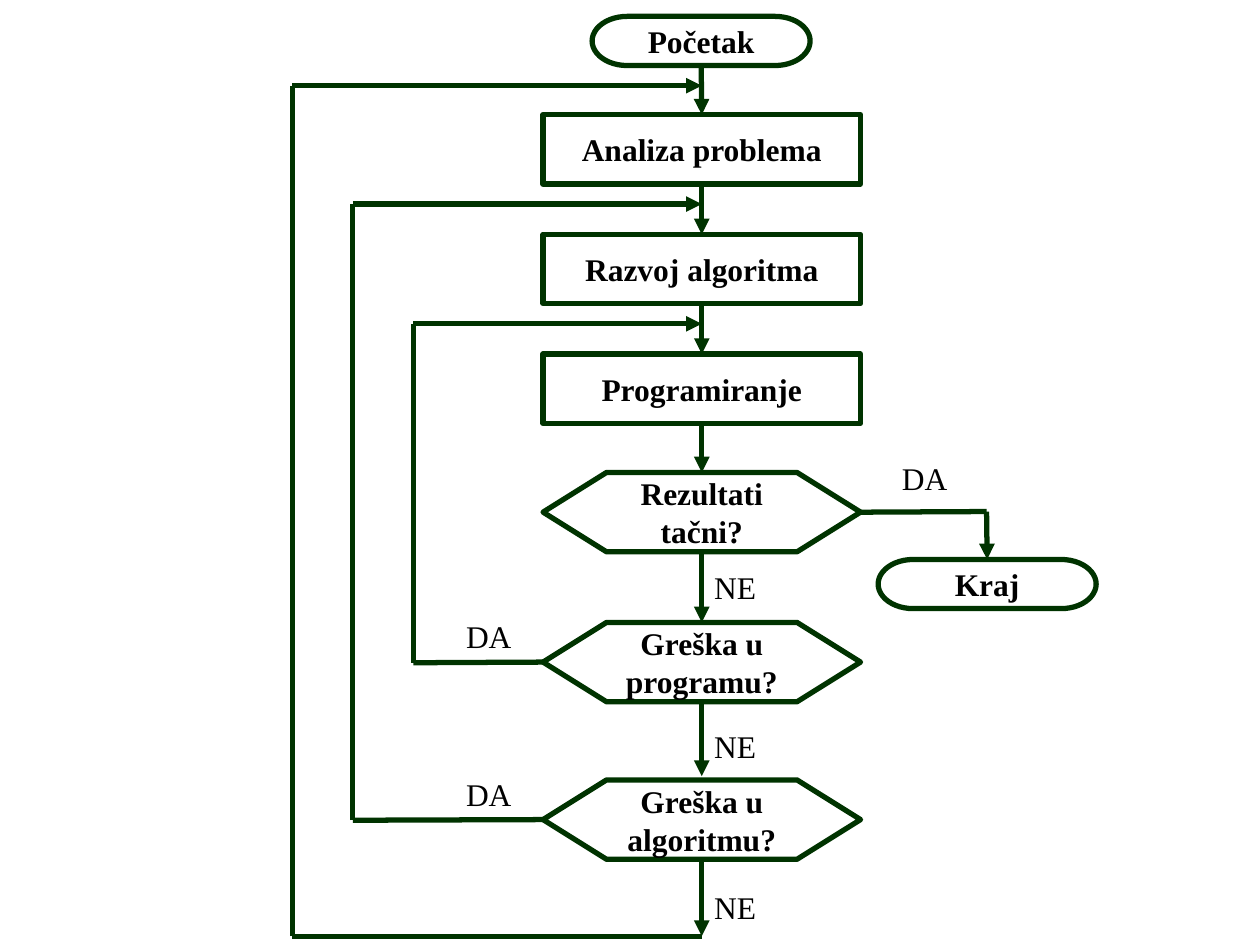
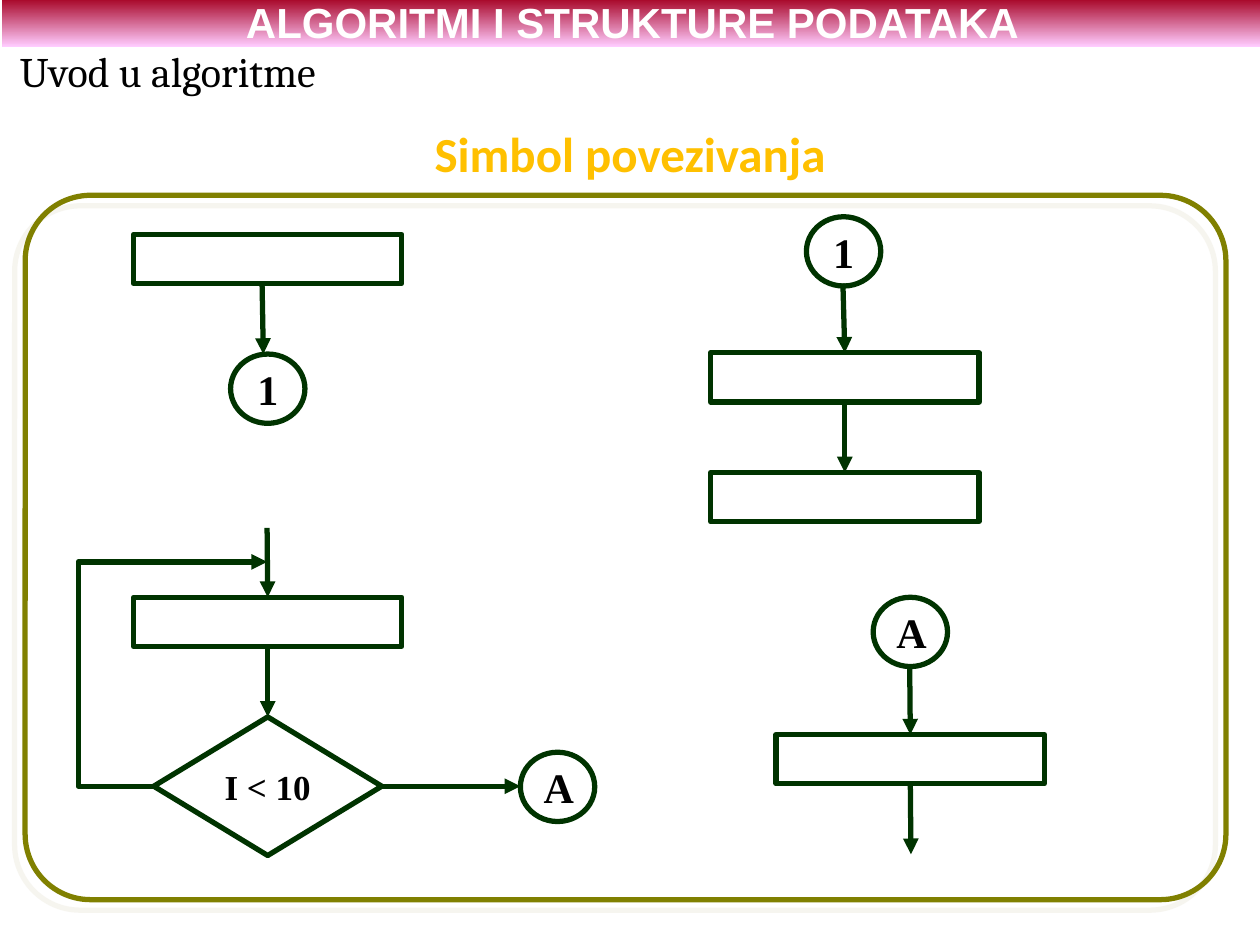
from dataclasses import dataclass

from lxml import etree
from pptx import Presentation
from pptx.dml.color import RGBColor
from pptx.enum.shapes import MSO_CONNECTOR, MSO_SHAPE
from pptx.enum.text import MSO_ANCHOR, PP_ALIGN
from pptx.oxml import parse_xml
from pptx.oxml.ns import nsdecls, qn
from pptx.util import Inches, Pt

RECT, OVAL = MSO_SHAPE.RECTANGLE, MSO_SHAPE.OVAL
TERMINATOR = MSO_SHAPE.FLOWCHART_TERMINATOR
HEXAGON = MSO_SHAPE.FLOWCHART_PREPARATION
DIAMOND = MSO_SHAPE.FLOWCHART_DECISION
ROUNDED = MSO_SHAPE.ROUNDED_RECTANGLE
STRAIGHT, ELBOW = MSO_CONNECTOR.STRAIGHT, MSO_CONNECTOR.ELBOW
LEFT, CENTER = PP_ALIGN.LEFT, PP_ALIGN.CENTER
TOP, MIDDLE = MSO_ANCHOR.TOP, MSO_ANCHOR.MIDDLE
SITE_TOP, SITE_LEFT, SITE_BOTTOM, SITE_RIGHT = range(4)


@dataclass(frozen=True)
class Theme:
    ink: str = "000000"
    flow: str = "003300"
    frame: str = "808000"
    shadow: str = "EEECE1"
    band_top: str = "A50021"
    band_bottom: str = "FFCCFF"
    band_text: str = "FFFFFF"
    title: str = "FFC000"
    body_font: str = "Times New Roman"
    band_font: str = "Arial"
    title_font: str = "Calibri"
    topic_font: str = "Cambria"
    step_size: int = 18
    condition_size: int = 20
    large_size: int = 24
    title_size: int = 28
    line: int = 3


T = Theme()


def box(s, text, at, kind=None, outline=T.flow, size=T.step_size, font=T.body_font,
        color=T.ink, bold=True, align=CENTER, anchor=MIDDLE, wrap=True):
    """Add a preset shape, or a text box when no kind is given."""
    at = [Inches(v) for v in at]
    if kind is None:
        sp = s.shapes.add_textbox(*at)
    else:
        sp = s.shapes.add_shape(kind, *at)
        sp.shadow.inherit = False
        sp.fill.background()
        if outline:
            sp.line.color.rgb = RGBColor.from_string(outline)
            sp.line.width = Pt(T.line)
        else:
            sp.line.fill.background()
    if text:
        tf = sp.text_frame
        tf.word_wrap = wrap
        tf.vertical_anchor = anchor
        p = tf.paragraphs[0]
        p.alignment = align
        r = p.add_run()
        r.text = text
        r.font.name, r.font.size, r.font.bold = font, Pt(size), bold
        r.font.color.rgb = RGBColor.from_string(color)
    return sp


def line(s, start, end, arrow=True, kind=STRAIGHT):
    """Connect two ends, each an (x, y) point or a (shape, site) pair."""
    c = s.shapes.add_connector(kind, 0, 0, 0, 0)
    if hasattr(start[0], "shape_id"):
        c.begin_connect(*start)
    else:
        c.begin_x, c.begin_y = Inches(start[0]), Inches(start[1])
    if hasattr(end[0], "shape_id"):
        c.end_connect(*end)
    else:
        c.end_x, c.end_y = Inches(end[0]), Inches(end[1])
    c.line.color.rgb = RGBColor.from_string(T.flow)
    c.line.width = Pt(T.line)
    spPr = c.line._get_or_add_ln().getparent()
    if arrow:
        etree.SubElement(spPr.find(qn("a:ln")), qn("a:tailEnd"), type="triangle")
    etree.SubElement(spPr, qn("a:effectLst"))
    return c


prs = Presentation()
prs.slide_width, prs.slide_height = Inches(10), Inches(7.5)
blank = prs.slide_layouts[6]

# Slide 1: program development flowchart
s = prs.slides.add_slide(blank)
axis = 5.57
start = box(s, "Početak", (4.7, 0.13, 1.73, 0.39), TERMINATOR)
finish = box(s, "Kraj", (6.97, 4.44, 1.73, 0.39), TERMINATOR)

# Steps, equally spaced, then the three questions
flow = [start]
for i, text in enumerate(["Analiza problema", "Razvoj algoritma", "Programiranje"]):
    flow.append(box(s, text, (4.31, 0.91 + 0.95 * i, 2.52, 0.55), RECT))
questions = [box(s, text, (4.31, y, 2.52, 0.63), HEXAGON) for text, y in [
    ("Rezultati tačni?", 3.75), ("Greška u programu?", 4.94), ("Greška u algoritmu?", 6.19)]]
results, program_error, algorithm_error = questions

# Downward arrows
flow += [results, program_error]
for upper, lower in zip(flow, flow[1:]):
    line(s, (upper, SITE_BOTTOM), (lower, SITE_TOP))
line(s, (program_error, SITE_BOTTOM), (axis, 6.16))
line(s, (algorithm_error, SITE_BOTTOM), (axis, 7.43))

# Exit to the end symbol
line(s, (results, SITE_RIGHT), (7.83, 4.06), arrow=False)
line(s, (7.83, 4.06), (finish, SITE_TOP))

# Loops back to the earlier steps
for origin, left, bottom, top in [
        ((program_error, SITE_LEFT), 3.28, 5.26, 2.57),
        ((algorithm_error, SITE_LEFT), 2.8, 6.51, 1.62),
        ((axis, 7.43), 2.32, 7.43, 0.68)]:
    line(s, origin, (left, bottom), arrow=False)
    line(s, (left, bottom), (left, top), arrow=False)
    line(s, (left, top), (axis, top))

# Branch labels
for text, x, y in [("DA", 7.06, 3.59), ("DA", 3.6, 4.85), ("DA", 3.6, 6.1),
                   ("NE", axis, 4.46), ("NE", axis, 5.72), ("NE", axis, 7)]:
    box(s, text, (x, y, 0.79, 0.4), bold=False, align=LEFT, anchor=TOP)

# Slide 2: connector symbol
s = prs.slides.add_slide(blank)

# Header band, topic and title
band = box(s, "ALGORITMI I STRUKTURE PODATAKA", (0.02, -0.02, 10, 0.39), RECT, outline=None,
           size=T.large_size, font=T.band_font, color=T.band_text)
band.fill.gradient()
band.fill.gradient_angle = 270
for stop, color in zip(band.fill.gradient_stops, (T.band_top, T.band_bottom)):
    stop.color.rgb = RGBColor.from_string(color)
box(s, "Uvod u algoritme", (0.06, 0.31, 2.56, 0.5), size=T.large_size, font=T.topic_font,
    bold=False, align=LEFT, anchor=TOP, wrap=False)
box(s, "Simbol povezivanja", (0.5, 0.87, 9, 0.68), size=T.title_size, font=T.title_font,
    color=T.title)

# Rounded frame with an offset shadow
frame = box(s, "", (0.2, 1.55, 9.53, 5.59), ROUNDED, outline=T.frame)
frame.adjustments[0] = 0.093
frame._element.spPr.find(qn("a:effectLst")).append(parse_xml(
    f'<a:outerShdw {nsdecls("a")} blurRad="0" dist="{Pt(8.5)}" dir="8100000" algn="ctr" '
    f'rotWithShape="0"><a:srgbClr val="{T.shadow}"><a:alpha val="50000"/></a:srgbClr>'
    '</a:outerShdw>'))

# Process boxes
before_1, after_1, last_1, loop_body, after_a = [
    box(s, "", (x, y, 2.13, 0.39), RECT)
    for x, y in [(1.06, 1.86), (5.64, 2.8), (5.64, 3.75), (1.06, 4.74), (6.16, 5.83)]]

# Connector circles
out_1, in_1, out_a, in_a = [
    box(s, text, (x, y, 0.59, 0.55), OVAL, size=T.large_size)
    for text, x, y in [("1", 1.83, 2.81), ("1", 6.4, 1.72), ("A", 4.13, 5.97), ("A", 6.93, 4.74)]]

# Condition and its loop
condition = box(s, "I < 10", (1.22, 5.69, 1.81, 1.1), DIAMOND, size=T.condition_size)
loop = line(s, (1.22, 6.24), (2.12, 4.46), kind=ELBOW)
guides = loop._element.spPr.find(qn("a:prstGeom")).get_or_add_avLst()
etree.SubElement(guides, qn("a:gd"), name="adj1", fmla="val -66600")

# Arrows
for begin, end in [
        ((2.08, 2.25), (2.09, 2.81)),
        ((6.69, 2.25), (after_1, SITE_TOP)),
        ((after_1, SITE_BOTTOM), (last_1, SITE_TOP)),
        ((2.12, 4.19), (loop_body, SITE_TOP)),
        ((loop_body, SITE_BOTTOM), (condition, SITE_TOP)),
        ((condition, SITE_RIGHT), (4.13, 6.24)),
        ((7.22, 5.28), (after_a, SITE_TOP)),
        ((after_a, SITE_BOTTOM), (7.23, 6.78))]:
    line(s, begin, end)

prs.save("out.pptx")
